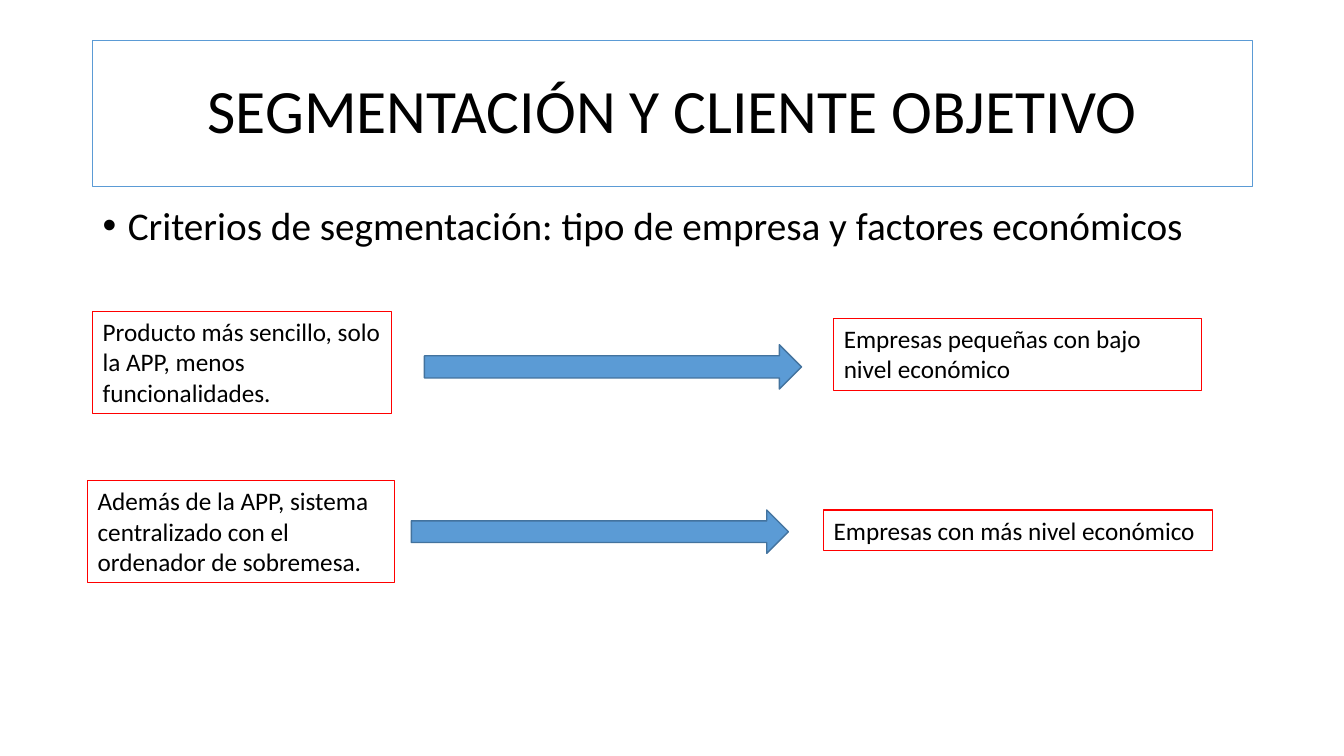
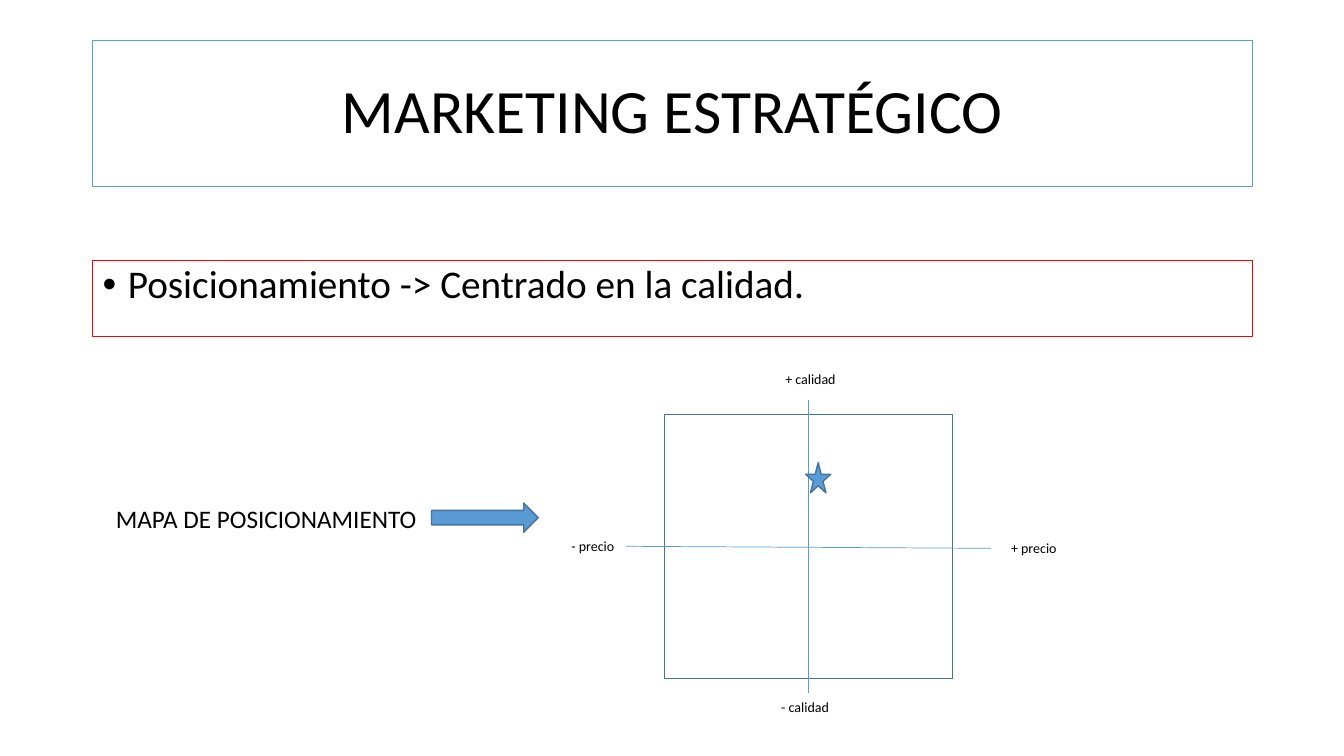
from lxml import etree
from pptx import Presentation
from pptx.dml.color import RGBColor
from pptx.enum.shapes import MSO_CONNECTOR, MSO_SHAPE
from pptx.enum.text import MSO_ANCHOR, MSO_AUTO_SIZE, PP_ALIGN
from pptx.oxml.ns import qn
from pptx.util import Inches, Pt

RECTANGLE = MSO_SHAPE.RECTANGLE
RIGHT_ARROW = MSO_SHAPE.RIGHT_ARROW
STAR = MSO_SHAPE.STAR_5_POINT
STRAIGHT = MSO_CONNECTOR.STRAIGHT
MIDDLE = MSO_ANCHOR.MIDDLE
CENTER = PP_ALIGN.CENTER
FIT_SHAPE = MSO_AUTO_SIZE.SHAPE_TO_FIT_TEXT

FONT = "Calibri"
BLACK = RGBColor(0x00, 0x00, 0x00)
WHITE = RGBColor(0xFF, 0xFF, 0xFF)
BLUE = RGBColor(0x5B, 0x9B, 0xD5)
DARK_BLUE = RGBColor(0x43, 0x73, 0x9E)
RED = RGBColor(0xFF, 0x00, 0x00)

MARGIN, CONTENT_WIDTH = 0.92, 11.5
TITLE_AREA = (MARGIN, 0.4, CONTENT_WIDTH, 1.45)
TITLE_FORMAT = {"alignment": CENTER, "line_spacing": 0.9}
BULLET_FORMAT = {"line_spacing": 0.9, "space_before": Pt(10)}

SEGMENTATION = {
    "title": "SEGMENTACIÓN Y CLIENTE OBJETIVO",
    "bullet": "Criterios de segmentación: tipo de empresa y factores económicos",
    "bullet_area": (MARGIN, 2, CONTENT_WIDTH, 0.74),
    "bullet_border": None,
}
SEGMENTS = [
    {
        "product": ("Producto más sencillo, solo la APP, menos funcionalidades.",
                    (0.92, 3.09, 2.96, 1.01)),
        "arrow": (4.21, 3.42, 3.74, 0.44),
        "customer": ("Empresas pequeñas con bajo nivel económico",
                     (8.27, 3.16, 3.65, 0.71)),
    },
    {
        "product": ("Además de la APP, sistema centralizado con el ordenador de sobremesa.",
                    (0.87, 4.77, 3.04, 1.01)),
        "arrow": (4.08, 5.06, 3.74, 0.43),
        "customer": ("Empresas con más nivel económico",
                     (8.17, 5.06, 3.86, 0.4)),
    },
]

MARKETING = {
    "title": "MARKETING ESTRATÉGICO",
    "bullet": "Posicionamiento -> Centrado en la calidad.",
    "bullet_area": (MARGIN, 2.58, CONTENT_WIDTH, 0.76),
    "bullet_border": RED,
}
MAP_CAPTION = ("MAPA DE POSICIONAMIENTO", (1.05, 4.94, 3.22, 0.4))
MAP_ARROW = (4.28, 4.99, 1.06, 0.29)
MAP_FRAME = (6.59, 4.11, 2.86, 2.62)
MAP_STAR = (7.99, 4.59, 0.25, 0.3)
PRICE_AXIS = (6.21, 5.42, 9.83, 5.44)
QUALITY_AXIS = (8.02, 3.97, 8.02, 6.88)
AXIS_LABELS = [
    ("+ precio", (9.93, 5.3, 0.66, 0.27)),
    ("- precio", (5.57, 5.28, 0.63, 0.27)),
    ("+ calidad", (7.69, 3.63, 0.71, 0.27)),
    ("- calidad", (7.65, 6.88, 0.68, 0.27)),
]


def inches(values):
    return [Inches(value) for value in values]


def apply_format(target, values):
    for name, value in values.items():
        setattr(target, name, value)


def add_text(slide, text, area, size, border=None, paragraph_format=None, **frame_format):
    box = slide.shapes.add_textbox(*inches(area))
    if border is not None:
        box.line.color.rgb = border
        box.line.width = Pt(0.75)
    apply_format(box.text_frame, {"word_wrap": True, **frame_format})
    paragraph = box.text_frame.paragraphs[0]
    apply_format(paragraph, paragraph_format or {})
    run = paragraph.add_run()
    apply_format(run, {"text": text})
    apply_format(run.font, {"name": FONT, "size": Pt(size)})
    run.font.color.rgb = BLACK
    return paragraph


def add_figure(slide, kind, area, fill=BLUE):
    figure = slide.shapes.add_shape(kind, *inches(area))
    figure.shadow.inherit = False
    figure.fill.solid()
    figure.fill.fore_color.rgb = fill
    figure.line.color.rgb = DARK_BLUE
    figure.line.width = Pt(1)


def add_axis(slide, ends):
    axis = slide.shapes.add_connector(STRAIGHT, *inches(ends))
    axis.line.color.rgb = BLUE
    axis.line.width = Pt(0.5)
    etree.SubElement(axis.element.spPr, qn("a:effectLst"))


def add_bullet(paragraph):
    properties = paragraph._p.get_or_add_pPr()
    properties.set("marL", str(Inches(0.25)))
    properties.set("indent", str(Inches(-0.25)))
    etree.SubElement(properties, qn("a:buFont")).set("typeface", "Arial")
    etree.SubElement(properties, qn("a:buChar")).set("char", "•")


def add_content_slide(deck, content):
    slide = deck.slides.add_slide(deck.slide_layouts[6])
    add_text(slide, content["title"], TITLE_AREA, 44, BLUE, TITLE_FORMAT,
             vertical_anchor=MIDDLE)
    add_bullet(add_text(slide, content["bullet"], content["bullet_area"], 28,
                        content["bullet_border"], BULLET_FORMAT))
    return slide


def build_segmentation(deck):
    slide = add_content_slide(deck, SEGMENTATION)
    for segment in SEGMENTS:
        add_text(slide, *segment["product"], 18, RED, auto_size=FIT_SHAPE)
        add_figure(slide, RIGHT_ARROW, segment["arrow"])
        add_text(slide, *segment["customer"], 18, RED, auto_size=FIT_SHAPE)


def build_marketing(deck):
    slide = add_content_slide(deck, MARKETING)
    add_figure(slide, RECTANGLE, MAP_FRAME, WHITE)
    for ends in (PRICE_AXIS, QUALITY_AXIS):
        add_axis(slide, ends)
    for text, area in AXIS_LABELS:
        add_text(slide, text, area, 10, word_wrap=False, auto_size=FIT_SHAPE)
    add_figure(slide, STAR, MAP_STAR)
    add_text(slide, *MAP_CAPTION, 18, auto_size=FIT_SHAPE)
    add_figure(slide, RIGHT_ARROW, MAP_ARROW)


def main():
    deck = Presentation()
    apply_format(deck, {"slide_width": Inches(13.33), "slide_height": Inches(7.5)})
    build_segmentation(deck)
    build_marketing(deck)
    deck.save("out.pptx")


if __name__ == "__main__":
    main()
